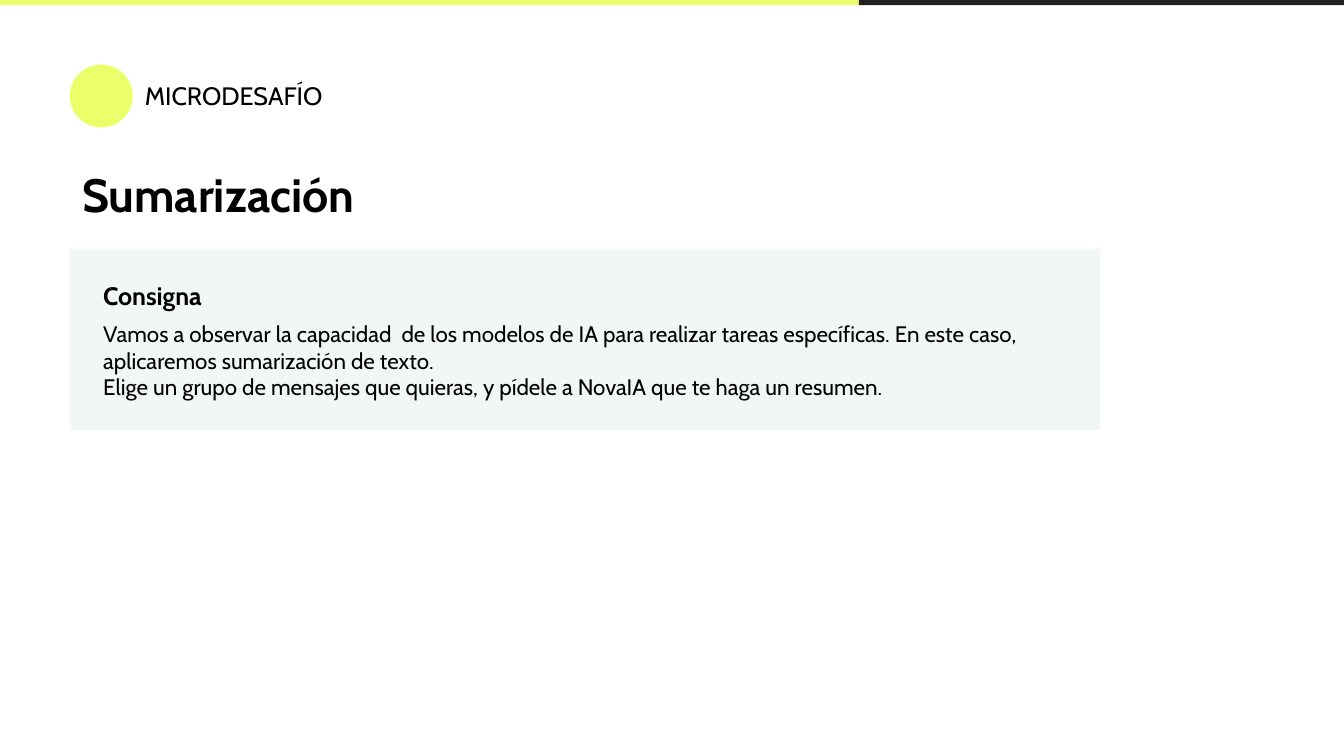
import pptx
import pptx.util
import pptx.dml.color
import pptx.enum.shapes
import pptx.enum.text

Cm, Pt = pptx.util.Cm, pptx.util.Pt
Rgb = pptx.dml.color.RGBColor.from_string
kinds = pptx.enum.shapes.MSO_SHAPE
enums = pptx.enum.text

hues = {"lime": "EAFF6A", "dark": "212121", "panel": "F0F7F5", "text": "000000"}
frame_format = {
    "word_wrap": True,
    "auto_size": enums.MSO_AUTO_SIZE.NONE,
    "vertical_anchor": enums.MSO_ANCHOR.TOP,
    "margin_left": Cm(0.25), "margin_right": Cm(0.25),
    "margin_top": Cm(0.25), "margin_bottom": Cm(0.25),
}


def write(frame, lines):
    """Fill a text frame with (text, size, bold, paragraph format) lines."""
    for name, value in frame_format.items():
        setattr(frame, name, value)
    for i, (text, size, bold, form) in enumerate(lines):
        para = frame.paragraphs[0] if i == 0 else frame.add_paragraph()
        para.alignment = enums.PP_ALIGN.LEFT
        for name, value in form.items():
            setattr(para, name, value)
        run = para.add_run()
        run.text = text
        for name, value in {"name": "Cabin", "size": Pt(size), "bold": bold}.items():
            setattr(run.font, name, value)
        run.font.color.rgb = Rgb(hues["text"])


deck = pptx.Presentation()
deck.slide_width, deck.slide_height = Cm(25.4), Cm(14.29)
slide = deck.slides.add_slide(deck.slide_layouts[5])

# Panel, top bar in two colours, and label dot
split = 16.23
for kind, hue, box in [
    (kinds.RECTANGLE, "panel", (1.32, 4.7, 19.48, 3.43)),
    (kinds.RECTANGLE, "dark", (split, 0, 25.4 - split, 0.1)),
    (kinds.RECTANGLE, "lime", (0, 0, split, 0.1)),
    (kinds.OVAL, "lime", (1.32, 1.22, 1.19, 1.19)),
]:
    shape = slide.shapes.add_shape(kind, *map(Cm, box))
    shape.shadow.inherit = False
    shape.fill.solid()
    shape.fill.fore_color.rgb = Rgb(hues[hue])
    shape.line.fill.background()

# Title
title = slide.shapes.title
title.left, title.top, title.width, title.height = map(Cm, (1.3, 3, 20.42, 1.47))
write(title.text_frame, [("Sumarización", 25, True, {"line_spacing": 0.9})])

# Label and task text
task = [
    ("Consigna", 13.5, True, {}),
    ("Vamos a observar la capacidad  de los modelos de IA para realizar tareas "
     "específicas. En este caso, aplicaremos sumarización de texto.",
     12, False, {"space_before": Pt(5)}),
    ("Elige un grupo de mensajes que quieras, y pídele a NovaIA que te haga "
     "un resumen.", 12, False, {}),
]
for box, lines in [
    ((2.49, 1.27, 8.33, 1.09), [("MICRODESAFÍO", 13.5, False, {})]),
    ((1.7, 5.05, 18.54, 2.79), task),
]:
    write(slide.shapes.add_textbox(*map(Cm, box)).text_frame, lines)

deck.save("out.pptx")
